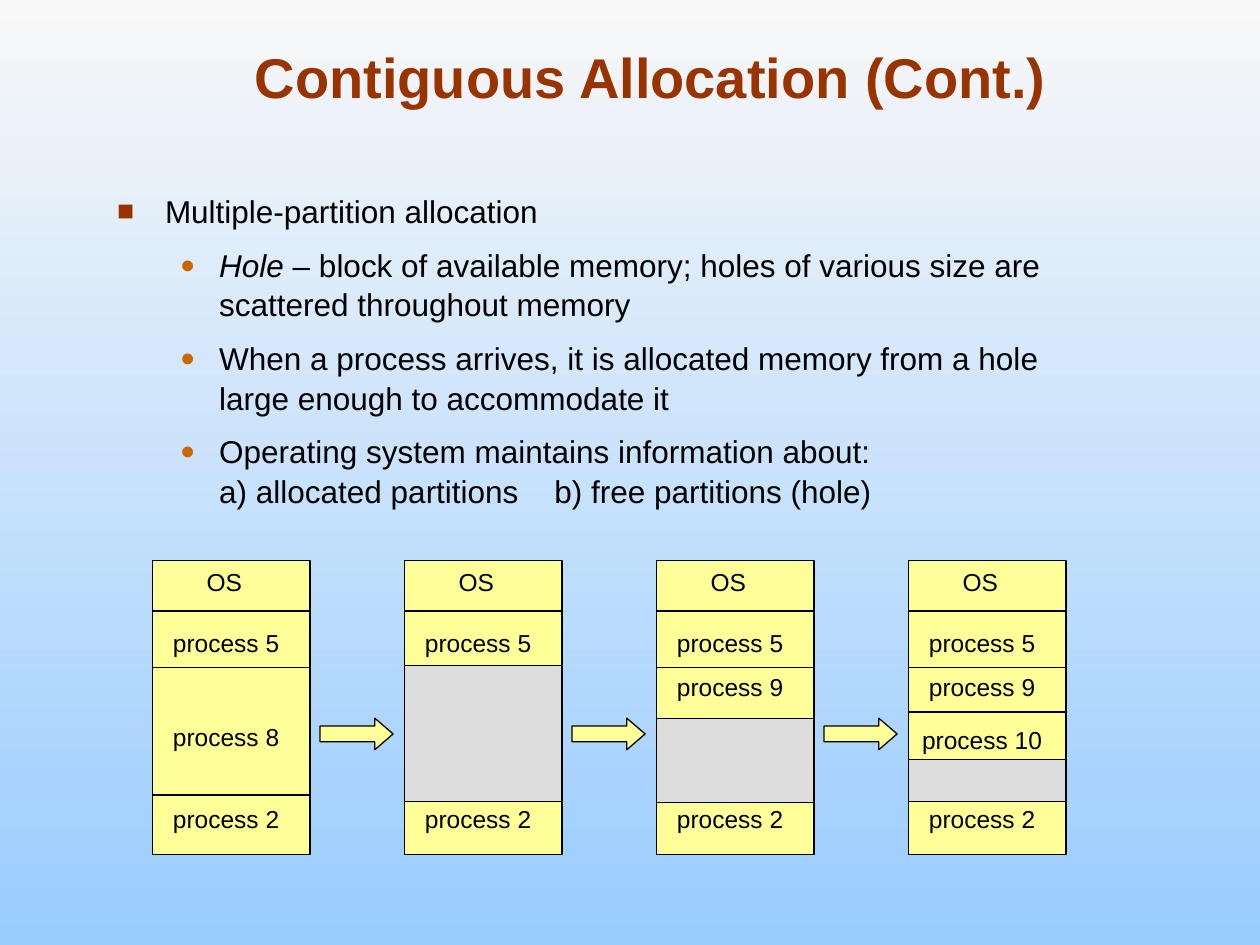
from lxml import etree
from pptx import Presentation
from pptx.dml.color import RGBColor
from pptx.enum.shapes import MSO_CONNECTOR, MSO_SHAPE
from pptx.enum.text import MSO_ANCHOR, MSO_AUTO_SIZE, PP_ALIGN
from pptx.oxml.ns import qn
from pptx.util import Inches, Pt

RECT, ARROW = MSO_SHAPE.RECTANGLE, MSO_SHAPE.RIGHT_ARROW
STRAIGHT = MSO_CONNECTOR.STRAIGHT
CENTER, LEFT = PP_ALIGN.CENTER, PP_ALIGN.LEFT
TOP, MIDDLE, BOTTOM = MSO_ANCHOR.TOP, MSO_ANCHOR.MIDDLE, MSO_ANCHOR.BOTTOM

BLACK = RGBColor(0x00, 0x00, 0x00)
RUST = RGBColor(0x99, 0x33, 0x00)
ORANGE = RGBColor(0xCC, 0x66, 0x00)
YELLOW = RGBColor(0xFF, 0xFF, 0x99)
GRAY = RGBColor(0xDD, 0xDD, 0xDD)
PALE = RGBColor(0xF8, 0xF8, 0xF8)
SKY = RGBColor(0x99, 0xCC, 0xFF)

# Content
TITLE = "Contiguous Allocation (Cont.)"
# Each point: level, then (text, italic) runs
POINTS = [
    (0, [("Multiple-partition allocation", False)]),
    (1, [("Hole", True),
         (" – block of available memory; holes of various size are "
          "scattered throughout memory", False)]),
    (1, [("When a process arrives, it is allocated memory from a hole "
          "large enough to accommodate it", False)]),
    (1, [("Operating system maintains information about:\n"
          "a) allocated partitions\tb) free partitions (hole)", False)]),
]
# Per level: left indent, first-line indent, bullet, colour, size in percent
LEVELS = [
    (0.38, -0.38, "■", RUST, 90),
    (0.81, -0.31, "●", ORANGE, 80),
]
TAB_STOP = 3.47

# Memory maps: labels with their tops, the hole as (top, height), extra divider
MEMORY_MAPS = [
    {"labels": [("process 8", 5.68)], "hole": None, "extra": []},
    {"labels": [], "hole": (5.28, 1.08), "extra": []},
    {"labels": [("process 9", 5.28)], "hole": (5.7, 0.67), "extra": []},
    {"labels": [("process 9", 5.28), ("process 10", 5.7)],
     "hole": (6.03, 0.33), "extra": [5.65]},
]
COMMON_LABELS = [("process 5", 4.93), ("process 2", 6.33)]
DIVIDERS = [4.85, 5.3, 6.31]
MAP_LEFT, MAP_TOP, MAP_WIDTH, MAP_HEIGHT, MAP_PITCH = 1.21, 4.45, 1.25, 2.33, 2

prs = Presentation()
prs.slide_width, prs.slide_height = Inches(10), Inches(7.5)
slide = prs.slides.add_slide(prs.slide_layouts[1])


def place(shape, left, top, width, height):
    shape.left, shape.top = Inches(left), Inches(top)
    shape.width, shape.height = Inches(width), Inches(height)


def write(paragraph, text, size=14, color=BLACK, bold=False, italic=False,
          align=CENTER):
    paragraph.alignment = align
    for index, line in enumerate(text.split("\n")):
        if index:
            paragraph.add_line_break()
        run = paragraph.add_run()
        run.text = line
        font = run.font
        font.name, font.size = "Arial", Pt(size)
        font.bold, font.italic = bold, italic
        font.color.rgb = color


def set_frame(frame, anchor, wrap=True):
    frame.word_wrap = wrap
    frame.auto_size = MSO_AUTO_SIZE.NONE
    frame.vertical_anchor = anchor


def add_bullet(paragraph, char, color, percent):
    props = paragraph._p.get_or_add_pPr()
    bullet_color = etree.SubElement(props, qn("a:buClr"))
    etree.SubElement(bullet_color, qn("a:srgbClr"), val=str(color))
    etree.SubElement(props, qn("a:buSzPct"), val=str(percent * 1000))
    etree.SubElement(props, qn("a:buFont"), typeface="Arial")
    etree.SubElement(props, qn("a:buChar"), char=char)


def add_tab(paragraph, position):
    tabs = etree.SubElement(paragraph._p.get_or_add_pPr(), qn("a:tabLst"))
    etree.SubElement(tabs, qn("a:tab"), pos=str(Inches(position)), algn="l")


def add_block(kind, left, top, width, height, fill):
    block = slide.shapes.add_shape(kind, Inches(left), Inches(top),
                                   Inches(width), Inches(height))
    block.shadow.inherit = False
    block.fill.solid()
    block.fill.fore_color.rgb = fill
    block.line.color.rgb = BLACK
    block.line.width = Pt(0.75)
    return block


def add_divider(left, y):
    divider = slide.shapes.add_connector(
        STRAIGHT, Inches(left), Inches(y), Inches(left + MAP_WIDTH), Inches(y))
    divider.line.color.rgb = BLACK
    divider.line.width = Pt(0.75)
    etree.SubElement(divider._element.spPr, qn("a:effectLst"))


def add_label(text, left, top, width=1.17, wrap=True):
    label = slide.shapes.add_textbox(Inches(left), Inches(top),
                                     Inches(width), Inches(0.34))
    set_frame(label.text_frame, MIDDLE, wrap)
    write(label.text_frame.paragraphs[0], text)


# Background
background = slide.background.fill
background.gradient()
background.gradient_angle = 270
for stop, color in zip(background.gradient_stops, (PALE, SKY)):
    stop.color.rgb = color

# Title
title = slide.shapes.title
place(title, 0.75, 0.25, 8.83, 0.67)
set_frame(title.text_frame, BOTTOM)
write(title.text_frame.paragraphs[0], TITLE, size=32, color=RUST, bold=True)

# Bulleted points
body = slide.placeholders[1]
place(body, 0.83, 1.46, 8.04, 2.85)
set_frame(body.text_frame, TOP)
for index, (level, runs) in enumerate(POINTS):
    point = (body.text_frame.add_paragraph() if index
             else body.text_frame.paragraphs[0])
    indent, first_line, char, color, percent = LEVELS[level]
    point.level = level
    point.line_spacing = 1.05
    point.space_before = Pt(7.9 if index else 0)
    props = point._p.get_or_add_pPr()
    props.set("marL", str(Inches(indent)))
    props.set("indent", str(Inches(first_line)))
    add_bullet(point, char, color, percent)
    if any("\t" in text for text, _ in runs):
        add_tab(point, TAB_STOP)
    for text, italic in runs:
        write(point, text, size=18, italic=italic, align=LEFT)

# Memory maps
for index, memory in enumerate(MEMORY_MAPS):
    left = MAP_LEFT + index * MAP_PITCH
    add_block(RECT, left, MAP_TOP, MAP_WIDTH, MAP_HEIGHT, YELLOW)
    for y in DIVIDERS + memory["extra"]:
        add_divider(left, y)
    if memory["hole"]:
        hole_top, hole_height = memory["hole"]
        add_block(RECT, left, hole_top, MAP_WIDTH, hole_height, GRAY)
    add_label("OS", left + 0.33, MAP_TOP, width=0.48, wrap=False)
    for text, top in COMMON_LABELS + memory["labels"]:
        add_label(text, left, top)

# Arrows between neighbouring maps
for index in range(len(MEMORY_MAPS) - 1):
    arrow = add_block(ARROW, 2.54 + index * MAP_PITCH, 5.7, 0.58, 0.25, YELLOW)
    arrow.adjustments[1] = 0.58

prs.save("out.pptx")
